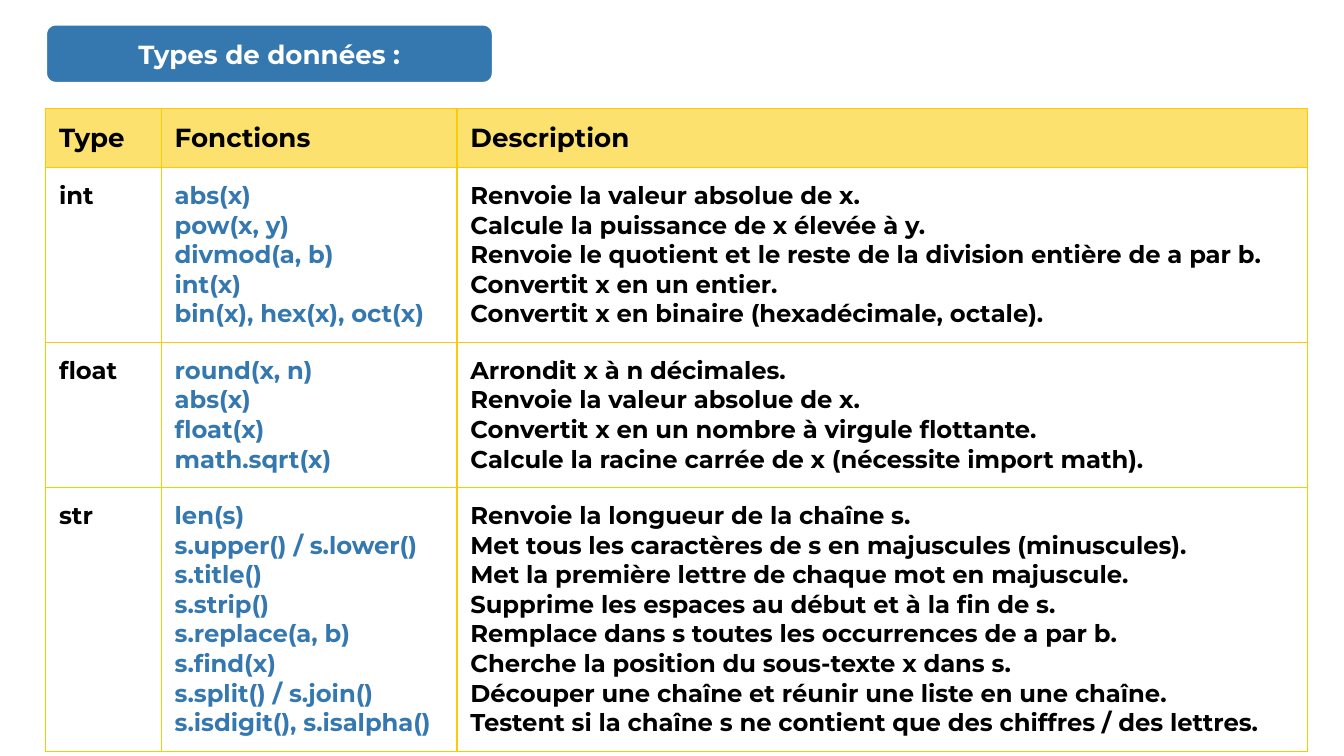
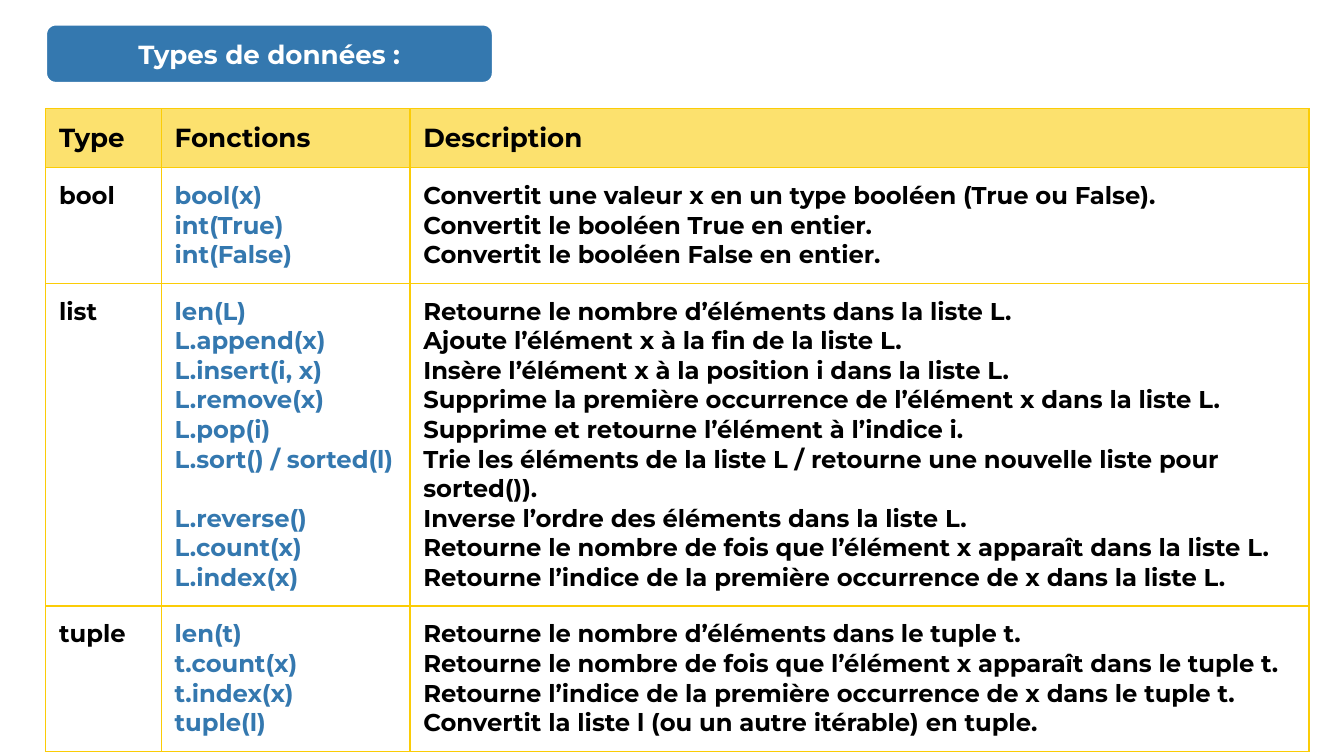
from lxml import etree
from pptx import Presentation
from pptx import util as u
from pptx.dml.color import RGBColor
from pptx.enum import shapes, text
from pptx.oxml import parse_xml
from pptx.oxml.ns import nsdecls, qn

COLORS = {"blue": "3478AF", "yellow": "FBCC06", "black": "000000", "white": "FFFFFF"}
FONT = "Montserrat"
NO_STYLE = "{2D5ABB26-0587-4C30-8999-92F81FD0307C}"
GRID_COLS = 100
HEADER_SIZE, BODY_SIZE = 14, 13
LINE_PT = 15.85  # height of one body line
LINE_ROWS, PADDING_ROWS, HEADER_ROWS = 2.2, 2, 4.3
HEADERS = ("Type", "Fonctions", "Description")

# Each slide: column widths, then type -> (function, description, extra wrapped lines)
TYPE_TABLES = [
    ((8.6, 22, 63.3), {
        "int": [
            ("abs(x)", "Renvoie la valeur absolue de x.", 0),
            ("pow(x, y)", "Calcule la puissance de x élevée à y.", 0),
            ("divmod(a, b)", "Renvoie le quotient et le reste de la division entière de a par b.", 0),
            ("int(x)", "Convertit x en un entier.", 0),
            ("bin(x), hex(x), oct(x)", "Convertit x en binaire (hexadécimale, octale).", 0),
        ],
        "float": [
            ("round(x, n)", "Arrondit x à n décimales.", 0),
            ("abs(x)", "Renvoie la valeur absolue de x.", 0),
            ("float(x)", "Convertit x en un nombre à virgule flottante.", 0),
            ("math.sqrt(x)", "Calcule la racine carrée de x (nécessite import math).", 0),
        ],
        "str": [
            ("len(s)", "Renvoie la longueur de la chaîne s.", 0),
            ("s.upper() / s.lower()", "Met tous les caractères de s en majuscules (minuscules).", 0),
            ("s.title()", "Met la première lettre de chaque mot en majuscule.", 0),
            ("s.strip()", "Supprime les espaces au début et à la fin de s.", 0),
            ("s.replace(a, b)", "Remplace dans s toutes les occurrences de a par b.", 0),
            ("s.find(x)", "Cherche la position du sous-texte x dans s.", 0),
            ("s.split() / s.join()", "Découper une chaîne et réunir une liste en une chaîne.", 0),
            ("s.isdigit(), s.isalpha()", "Testent si la chaîne s ne contient que des chiffres / des lettres.", 0),
        ],
    }),
    ((8.6, 18.5, 66.9), {
        "bool": [
            ("bool(x)", "Convertit une valeur x en un type booléen (True ou False).", 0),
            ("int(True)", "Convertit le booléen True en entier.", 0),
            ("int(False)", "Convertit le booléen False en entier.", 0),
        ],
        "list": [
            ("len(L)", "Retourne le nombre d’éléments dans la liste L.", 0),
            ("L.append(x)", "Ajoute l’élément x à la fin de la liste L.", 0),
            ("L.insert(i, x)", "Insère l’élément x à la position i dans la liste L.", 0),
            ("L.remove(x)", "Supprime la première occurrence de l’élément x dans la liste L.", 0),
            ("L.pop(i)", "Supprime et retourne l’élément à l’indice i.", 0),
            ("L.sort() / sorted(l)",
             "Trie les éléments de la liste L / retourne une nouvelle liste pour sorted()).", 1),
            ("L.reverse()", "Inverse l’ordre des éléments dans la liste L.", 0),
            ("L.count(x)", "Retourne le nombre de fois que l’élément x apparaît dans la liste L.", 0),
            ("L.index(x)", "Retourne l’indice de la première occurrence de x dans la liste L.", 0),
        ],
        "tuple": [
            ("len(t)", "Retourne le nombre d’éléments dans le tuple t.", 0),
            ("t.count(x)", "Retourne le nombre de fois que l’élément x apparaît dans le tuple t.", 0),
            ("t.index(x)", "Retourne l’indice de la première occurrence de x dans le tuple t.", 0),
            ("tuple(l)", "Convertit la liste l (ou un autre itérable) en tuple.", 0),
        ],
    }),
]


def rgb(name):
    return RGBColor.from_string(COLORS[name])


def set_all(obj, values):
    for key, value in values.items():
        setattr(obj, key, value)


class Deck:
    """Holds the style and the current slide; lengths are in square grid cells."""

    def __init__(self):
        self.prs = Presentation()
        self.prs.slide_width = u.Inches(10)
        self.prs.slide_height = self.prs.slide_width * 9 // 16
        self.unit = self.prs.slide_width // GRID_COLS
        self.s = None

    def new_slide(self):
        self.s = self.prs.slides.add_slide(self.prs.slide_layouts[6])

    def lengths(self, *counts):
        return [round(n * self.unit) for n in counts]

    def margins(self, obj):
        set_all(obj, {f"margin_{side}": self.unit
                      for side in ("left", "right", "top", "bottom")})

    def put_text(self, tf, lines, size, color, align=None, gaps=()):
        """Fill a frame; gaps gives the empty lines left after each paragraph."""
        for i, line in enumerate(lines):
            p = tf.paragraphs[0] if i == 0 else tf.add_paragraph()
            p.alignment = align
            if gaps and gaps[i]:
                p.space_after = u.Pt(LINE_PT * gaps[i])
            r = p.add_run()
            r.text = line
            set_all(r.font, {"name": FONT, "size": u.Pt(size), "bold": True})
            r.font.color.rgb = rgb(color)

    def title(self, label):
        sp = self.s.shapes.add_shape(shapes.MSO_SHAPE.ROUNDED_RECTANGLE,
                                     *self.lengths(3.4, 1.8, 33.3, 4.4))
        sp.adjustments[0] = 0.17
        sp.shadow.inherit = False
        sp.fill.solid()
        sp.fill.fore_color.rgb = rgb("blue")
        sp.line.color.rgb = rgb("white")
        sp.line.width = u.Pt(1.5)
        tf = sp.text_frame
        set_all(tf, {"word_wrap": True, "vertical_anchor": text.MSO_ANCHOR.MIDDLE})
        self.margins(tf)
        self.put_text(tf, [label], HEADER_SIZE, "white", text.PP_ALIGN.CENTER)

    def borders(self, cell):
        tcPr = cell._tc.get_or_add_tcPr()
        for side in "LRTB":
            tcPr.append(parse_xml(
                f'<a:ln{side} {nsdecls("a")} w="{u.Pt(0.75)}"><a:solidFill>'
                f'<a:srgbClr val="{COLORS["yellow"]}"/></a:solidFill></a:ln{side}>'))

    def cell(self, cell, lines, size=BODY_SIZE, color="black", gaps=(), header=False):
        self.borders(cell)
        if header:
            cell.fill.solid()
            cell.fill.fore_color.rgb = rgb("yellow")
            clr = cell._tc.tcPr.find(qn("a:solidFill"))[0]
            etree.SubElement(clr, qn("a:alpha")).set("val", "58000")
        else:
            cell.fill.background()
        self.margins(cell)
        self.put_text(cell.text_frame, lines, size, color, gaps=gaps)

    def type_table(self, widths, types):
        heights = [HEADER_ROWS] + [
            PADDING_ROWS + LINE_ROWS * sum(1 + extra for _, _, extra in entries)
            for entries in types.values()]
        table = self.s.shapes.add_table(
            len(heights), len(widths),
            *self.lengths(3.4, 8.1, sum(widths), sum(heights))).table
        set_all(table, {"first_row": False, "horz_banding": False})
        table._tbl.tblPr.find(qn("a:tableStyleId")).text = NO_STYLE
        for column, width in zip(table.columns, self.lengths(*widths)):
            column.width = width
        for row, height in zip(table.rows, self.lengths(*heights)):
            row.height = height
        for j, label in enumerate(HEADERS):
            self.cell(table.cell(0, j), [label], HEADER_SIZE, header=True)
        for i, (name, entries) in enumerate(types.items(), 1):
            functions, descriptions, extras = zip(*entries)
            self.cell(table.cell(i, 0), [name])
            self.cell(table.cell(i, 1), functions, color="blue", gaps=extras)
            self.cell(table.cell(i, 2), descriptions)


def main():
    deck = Deck()
    for widths, types in TYPE_TABLES:
        deck.new_slide()
        deck.type_table(widths, types)
        deck.title("Types de données :")
    deck.prs.save("out.pptx")


if __name__ == "__main__":
    main()
